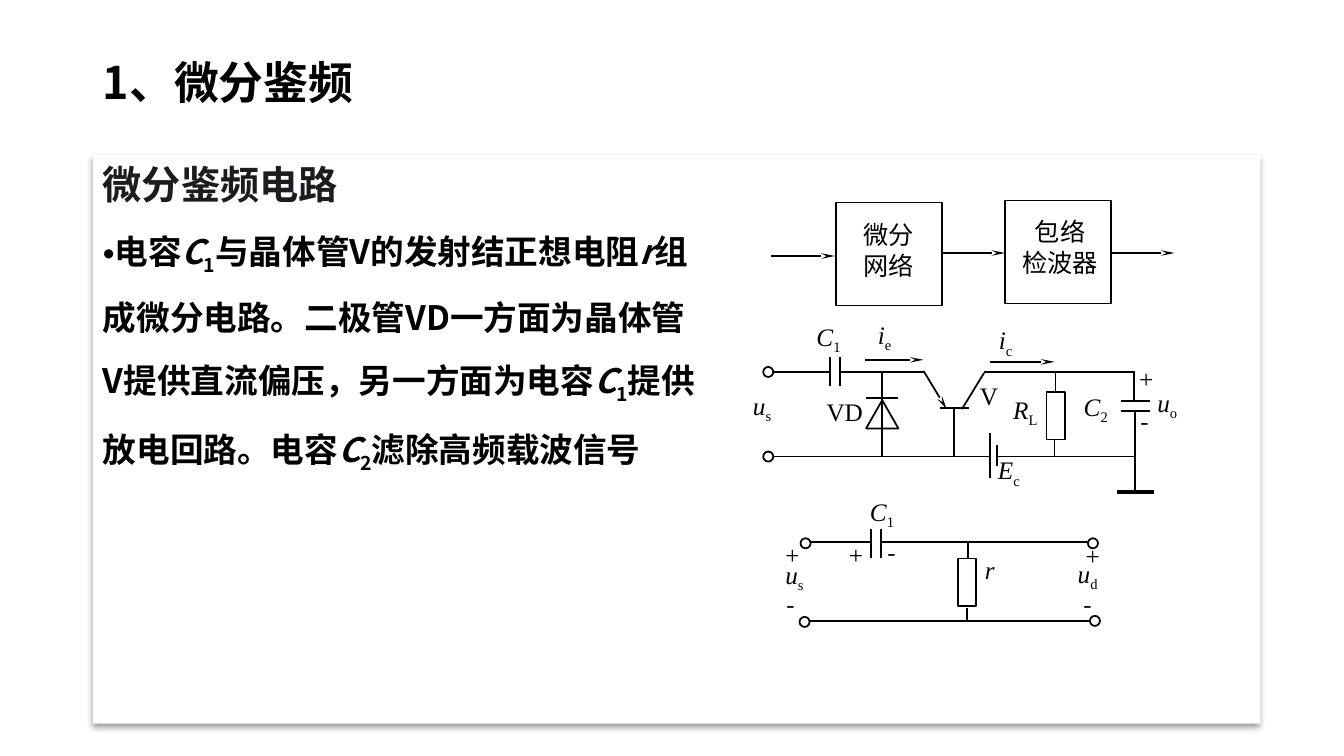
from lxml.etree import SubElement
from pptx import Presentation
from pptx.dml.color import RGBColor
from pptx.enum.shapes import MSO_CONNECTOR, MSO_SHAPE
from pptx.enum.text import MSO_ANCHOR, MSO_AUTO_SIZE, PP_ALIGN
from pptx.oxml.ns import qn
from pptx.util import Cm, Pt

BLACK = RGBColor(0x00, 0x00, 0x00)
WHITE = RGBColor(0xFF, 0xFF, 0xFF)
HEADING = RGBColor(0x1D, 0x1B, 0x1F)
SANS = "Noto Sans CJK SC"
SERIF = "Times New Roman"

BODY_RUNS = [
    ("电容", ""), ("C", "italic"), ("1", "sub"),
    ("与晶体管V的发射结正想电阻", ""), ("r", "italic"),
    ("组成微分电路。二极管VD一方面为晶体管V提供直流偏压，另一方面为电容", ""),
    ("C", "italic"), ("1", "sub"), ("提供放电回路。电容", ""),
    ("C", "italic"), ("2", "sub"), ("滤除高频载波信号", ""),
]

AMPLIFIER_WIRES = [
    (8.22, 3.69, 7.66, 3.69), (8.33, 3.69, 9.16, 3.69), (9.76, 3.69, 11.26, 3.69),
    (7.68, 4.53, 9.82, 4.53), (9.89, 4.53, 11.26, 4.53), (9.46, 4.06, 9.46, 4.53),
    (9.32, 4.05, 9.61, 4.05), (9.54, 4.06, 9.76, 3.7),
    (8.59, 3.95, 8.91, 3.95), (8.75, 4.52, 8.75, 3.7),
    (11.12, 3.98, 11.41, 3.98), (11.12, 4.08, 11.41, 4.08),
    (11.25, 3.69, 11.25, 3.98), (11.26, 4.08, 11.26, 4.86),
    (8.23, 3.83, 8.23, 3.54), (8.33, 3.83, 8.33, 3.54),
    (10.46, 4.52, 10.46, 4.35), (10.47, 3.89, 10.47, 3.7),
    (9.89, 4.41, 9.89, 4.62), (9.82, 4.3, 9.82, 4.74),
]
AMPLIFIER_ARROWS = [
    (8.58, 3.57, 9.16, 3.57), (9.82, 3.59, 10.46, 3.59), (9.16, 3.68, 9.39, 4.06),
]
AMPLIFIER_LABELS = [
    ("C", "1", 8, 3.14), ("i", "e", 8.61, 3.12), ("i", "c", 9.81, 3.17),
    ("u", "s", 7.37, 3.82), ("VD", "", 8.1, 3.88), ("V", "", 9.62, 3.72),
    ("R", "L", 9.95, 3.86), ("C", "2", 10.65, 3.83), ("E", "c", 9.8, 4.46),
    ("u", "o", 11.38, 3.79), ("+", "", 11.2, 3.55), ("-", "", 11.21, 3.98),
]
EQUIVALENT_WIRES = [
    (8.74, 5.38, 10.81, 5.38), (8.01, 6.16, 10.81, 6.16), (8.64, 5.38, 7.99, 5.38),
    (8.64, 5.54, 8.64, 5.25), (8.74, 5.54, 8.74, 5.25),
    (9.59, 6.03, 9.59, 6.16), (9.6, 5.39, 9.6, 5.54),
]
EQUIVALENT_LABELS = [
    ("C", "1", 8.53, 4.87), ("r", "", 9.67, 5.45),
    ("u", "s", 7.69, 5.5), ("u", "d", 10.59, 5.49),
    ("+", "", 7.69, 5.3), ("-", "", 7.7, 5.8), ("+", "", 8.32, 5.3),
    ("-", "", 8.7, 5.28), ("+", "", 10.67, 5.31), ("-", "", 10.65, 5.8),
]


def inches(value):
    return Cm(value * 2.54)


def format_run(run, size, font, color=BLACK, bold=False, style=""):
    run.font.size = Pt(size)
    run.font.name = font
    run.font.bold = bold
    run.font.italic = style == "italic"
    run.font.color.rgb = color
    properties = run.font._element
    SubElement(properties, qn("a:ea")).set("typeface", SANS)
    if style == "sub":
        properties.set("baseline", "-25000")


def add_run(paragraph, text, *formatting, **options):
    run = paragraph.add_run()
    run.text = text
    format_run(run, *formatting, **options)


def place(shape, left, top, width, height):
    shape.left, shape.top = inches(left), inches(top)
    shape.width, shape.height = inches(width), inches(height)


def set_bullet(paragraph, character=None):
    properties = paragraph._p.get_or_add_pPr()
    properties.set("marL", "0")
    properties.set("indent", "0")
    if character:
        SubElement(properties, qn("a:buChar")).set("char", character)
    else:
        SubElement(properties, qn("a:buNone"))


def fill_title(title):
    place(title, 0.92, 0.52, 11.5, 0.65)
    frame = title.text_frame
    frame.text = "1、微分鉴频"
    frame.auto_size = MSO_AUTO_SIZE.NONE
    frame.vertical_anchor = MSO_ANCHOR.MIDDLE
    paragraph = frame.paragraphs[0]
    paragraph.alignment = PP_ALIGN.LEFT
    paragraph.line_spacing = 0.9
    format_run(paragraph.runs[0], 32, SANS, bold=True)


def fill_body(body):
    place(body, 0.92, 1.31, 6.08, 5.44)
    frame = body.text_frame
    frame.text = "微分鉴频电路"
    frame.auto_size = MSO_AUTO_SIZE.NONE
    heading = frame.paragraphs[0]
    format_run(heading.runs[0], 28, SANS, HEADING, bold=True)
    item = frame.add_paragraph()
    item.level = 1
    for text, style in BODY_RUNS:
        add_run(item, text, 24, SANS, bold=True, style=style)
    for paragraph, bullet in ((heading, None), (item, "•")):
        paragraph.line_spacing = 1.5
        paragraph.space_before = Pt(0)
        set_bullet(paragraph, bullet)


def add_card(slide):
    card = slide.shapes.add_shape(MSO_SHAPE.RECTANGLE, 0, 0, 0, 0)
    place(card, 0.92, 1.54, 11.58, 5.64)
    card.fill.solid()
    card.fill.fore_color.rgb = WHITE
    card.line.fill.background()
    effects = SubElement(card._element.spPr, qn("a:effectLst"))
    shadow = SubElement(effects, qn("a:outerShdw"), blurRad=str(Pt(4)),
                        dist=str(Pt(3)), dir="5400000", algn="t", rotWithShape="0")
    color = SubElement(shadow, qn("a:srgbClr"), val="000000")
    SubElement(color, qn("a:alpha"), val="40000")
    slide.shapes._spTree.insert(2, card._element)


def add_symbol(group, kind, left, top, width, height):
    symbol = group.shapes.add_shape(kind, *map(inches, (left, top, width, height)))
    symbol.shadow.inherit = False
    symbol.fill.solid()
    symbol.fill.fore_color.rgb = WHITE
    symbol.line.color.rgb = BLACK
    symbol.line.width = Pt(1.25)


def add_wire(group, points, width=1.25, arrow=False):
    wire = group.shapes.add_connector(MSO_CONNECTOR.STRAIGHT, *map(inches, points))
    wire.line.color.rgb = BLACK
    wire.line.width = Pt(width)
    if arrow:
        SubElement(wire.line._get_or_add_ln(), qn("a:tailEnd"),
                   type="stealth", w="sm", len="lg")
    SubElement(wire._element.spPr, qn("a:effectLst"))


def add_text_box(group, left, top, width=1.03, height=0.58):
    box = group.shapes.add_textbox(*map(inches, (left, top, width, height)))
    box.text_frame.word_wrap = True
    return box.text_frame


def add_label(group, text, subscript, left, top):
    paragraph = add_text_box(group, left, top).paragraphs[0]
    style = "italic" if len(text) == 1 and text in "CERiru" else ""
    add_run(paragraph, text, 18, SANS if text == "-" else SERIF, style=style)
    if subscript:
        add_run(paragraph, subscript, 18, SERIF, style="sub")


def add_block(group, text, left, top, text_left, text_top):
    add_symbol(group, MSO_SHAPE.RECTANGLE, left, top, 1.05, 1.02)
    frame = add_text_box(group, text_left, text_top, 1.03, 0.82)
    frame.text = text
    for paragraph in frame.paragraphs:
        paragraph.alignment = PP_ALIGN.CENTER
        format_run(paragraph.runs[0], 18, SERIF)


def add_block_diagram(slide):
    group = slide.shapes.add_group_shape()
    add_block(group, "微分\n网络", 8.29, 2.01, 8.3, 2.13)
    add_block(group, "包络\n检波器", 9.97, 1.99, 10, 2.1)
    for left, top in ((7.65, 2.54), (9.34, 2.51), (11.02, 2.51)):
        add_wire(group, (left, top, left + 0.63, top), arrow=True)


def add_circuit(slide, wires, labels, resistor, terminals, arrows=(), diode=None):
    group = slide.shapes.add_group_shape()
    if diode:
        add_symbol(group, MSO_SHAPE.ISOSCELES_TRIANGLE, *diode, 0.32, 0.28)
    for points in wires:
        add_wire(group, points)
    for points in arrows:
        add_wire(group, points, arrow=True)
    add_symbol(group, MSO_SHAPE.RECTANGLE, *resistor, 0.18, 0.47)
    for left, top in terminals:
        add_symbol(group, MSO_SHAPE.OVAL, left, top, 0.1, 0.1)
    for label in labels:
        add_label(group, *label)
    return group


def main():
    presentation = Presentation()
    presentation.slide_width, presentation.slide_height = inches(13.33), inches(7.5)
    slide = presentation.slides.add_slide(presentation.slide_layouts[1])
    fill_title(slide.shapes.title)
    fill_body(slide.placeholders[1])
    add_card(slide)
    add_block_diagram(slide)
    amplifier = add_circuit(slide, AMPLIFIER_WIRES, AMPLIFIER_LABELS, (10.38, 3.89),
                            [(7.57, 3.64), (7.57, 4.48)], AMPLIFIER_ARROWS, (8.59, 3.97))
    add_wire(amplifier, (11.08, 4.88, 11.45, 4.88), width=2.5)
    add_circuit(slide, EQUIVALENT_WIRES, EQUIVALENT_LABELS, (9.5, 5.54),
                [(7.94, 5.34), (7.93, 6.12), (10.79, 5.34), (10.81, 6.11)])
    presentation.save("out.pptx")


if __name__ == "__main__":
    main()
